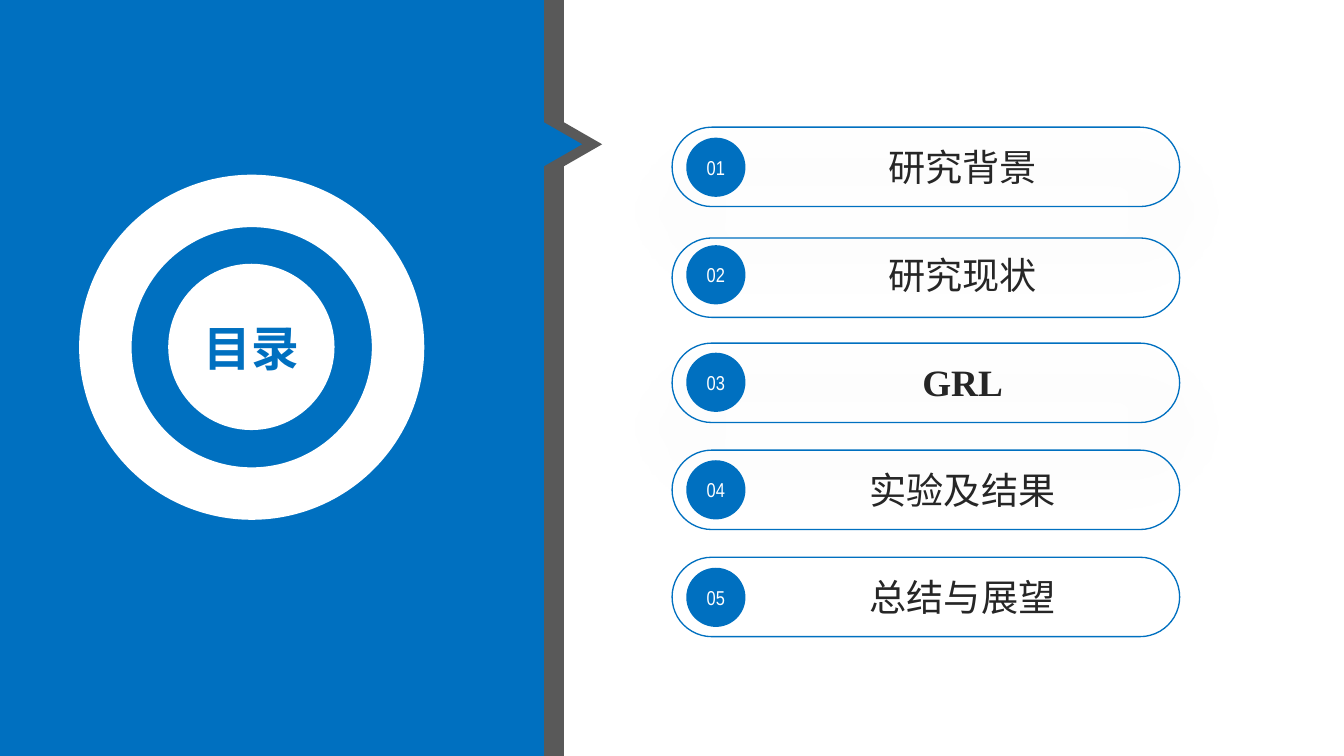
import lxml.etree
import pptx
import pptx.dml.color
import pptx.enum.shapes
import pptx.enum.text
import pptx.oxml.ns
import pptx.util

Pt = pptx.util.Pt
RGBColor = pptx.dml.color.RGBColor
MSO_SHAPE = pptx.enum.shapes.MSO_SHAPE

BLUE = RGBColor(0x00, 0x70, 0xC0)
GREY = RGBColor(0x59, 0x59, 0x59)
INK = RGBColor(0x26, 0x26, 0x26)
WHITE = RGBColor(0xFF, 0xFF, 0xFF)

WIDTH, HEIGHT = 1012.3, 569.5
SANS, SERIF = "Arial Narrow", "Times New Roman"
PITCH = 81
ENTRIES = [
    ("研究背景", 95.8, SANS, False, True),
    ("研究现状", 179.3, SANS, False, False),
    ("GRL", 258.5, SERIF, True, True),
    ("实验及结果", 339.1, SANS, False, False),
    ("总结与展望", 419.8, SANS, False, False),
]


def add_shape(s, kind, box, fill=None, line=None):
    sp = s.shapes.add_shape(kind, *map(Pt, box))
    sp.shadow.inherit = False
    if fill is None:
        sp.fill.background()
    else:
        sp.fill.solid()
        sp.fill.fore_color.rgb = fill
    if line is None:
        sp.line.fill.background()
    else:
        sp.line.color.rgb = line
        sp.line.width = Pt(1)
    return sp


def set_text(sp, text, size, color, font=SANS, bold=False):
    tf = sp.text_frame
    tf.word_wrap = True
    tf.auto_size = pptx.enum.text.MSO_AUTO_SIZE.NONE
    tf.vertical_anchor = pptx.enum.text.MSO_ANCHOR.MIDDLE
    tf.margin_left = tf.margin_right = tf.margin_top = tf.margin_bottom = 0
    p = tf.paragraphs[0]
    p.text = text
    p.alignment = pptx.enum.text.PP_ALIGN.CENTER
    p.font.name = font
    p.font.size = Pt(size)
    p.font.bold = bold
    p.font.color.rgb = color


def add_soft_shadow(sp):
    qn = pptx.oxml.ns.qn
    effects = sp._element.spPr.find(qn("a:effectLst"))
    shadow = lxml.etree.SubElement(
        effects, qn("a:outerShdw"), blurRad=str(Pt(43)), dist=str(Pt(33)),
        dir="5400000", algn="t", rotWithShape="0")
    color = lxml.etree.SubElement(shadow, qn("a:srgbClr"), val="000000")
    lxml.etree.SubElement(color, qn("a:alpha"), val="33000")


def add_entry(s, index, label, pill_top, font, bold, shadowed):
    pill = add_shape(s, MSO_SHAPE.ROUNDED_RECTANGLE,
                     (506.2, pill_top, 382.3, 59.8), line=BLUE)
    pill.adjustments[0] = 0.5
    if shadowed:
        add_soft_shadow(pill)
    badge = add_shape(s, MSO_SHAPE.OVAL,
                      (516.9, 103.7 + index * PITCH, 44.6, 44.6), BLUE)
    set_text(badge, f"{index + 1:02d}", 15.1, WHITE)
    box = (590, 108.7 + index * PITCH, 270, 33.8)
    set_text(s.shapes.add_textbox(*map(Pt, box)), label, 28, INK, font, bold)


def add_panel(s, left, right, color):
    pointer = add_shape(s, MSO_SHAPE.ISOSCELES_TRIANGLE,
                        (right - 2.2, 94.3, 33.1, 28.8), color)
    pointer.rotation = 90
    add_shape(s, MSO_SHAPE.RECTANGLE, (left, 0, right - left, HEIGHT), color)


def add_title(s, text):
    box = (126.7, 198.7, 125.3, 125.3)
    add_shape(s, MSO_SHAPE.OVAL, box, WHITE)
    ring = add_shape(s, MSO_SHAPE.DONUT, (59.6, 131.6, 260, 260), WHITE)
    ring.adjustments[0] = 0.152
    title = s.shapes.title
    title.left, title.top, title.width, title.height = map(Pt, box)
    set_text(title, text, 36, BLUE, bold=True)
    s.shapes._spTree.append(title._element)


def main():
    """Build the contents slide with its title panel and five entries."""
    prs = pptx.Presentation()
    prs.slide_width, prs.slide_height = Pt(WIDTH), Pt(HEIGHT)
    s = prs.slides.add_slide(prs.slide_layouts[5])
    for index, entry in enumerate(ENTRIES):
        add_entry(s, index, *entry)
    add_panel(s, 15.1, 424.8, GREY)
    add_panel(s, 0, 409.7, BLUE)
    add_title(s, "目录")
    prs.save("out.pptx")


if __name__ == "__main__":
    main()
